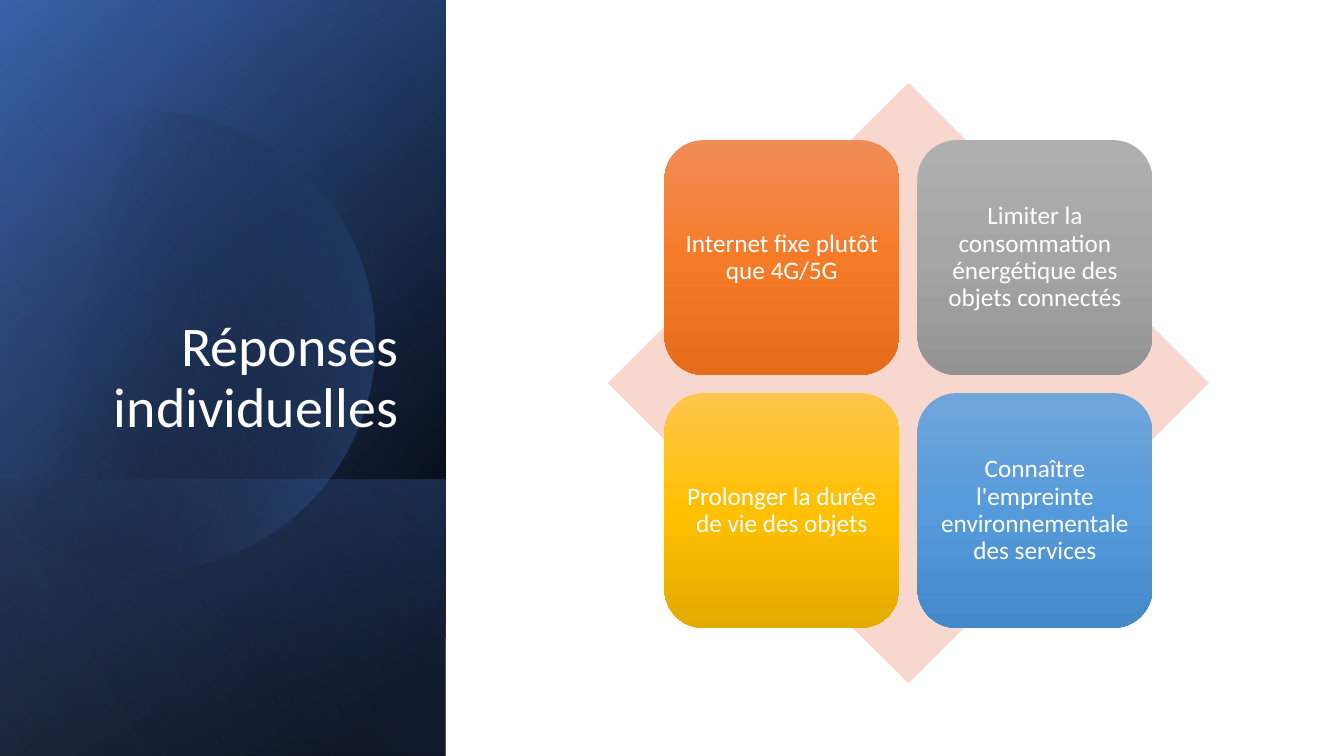
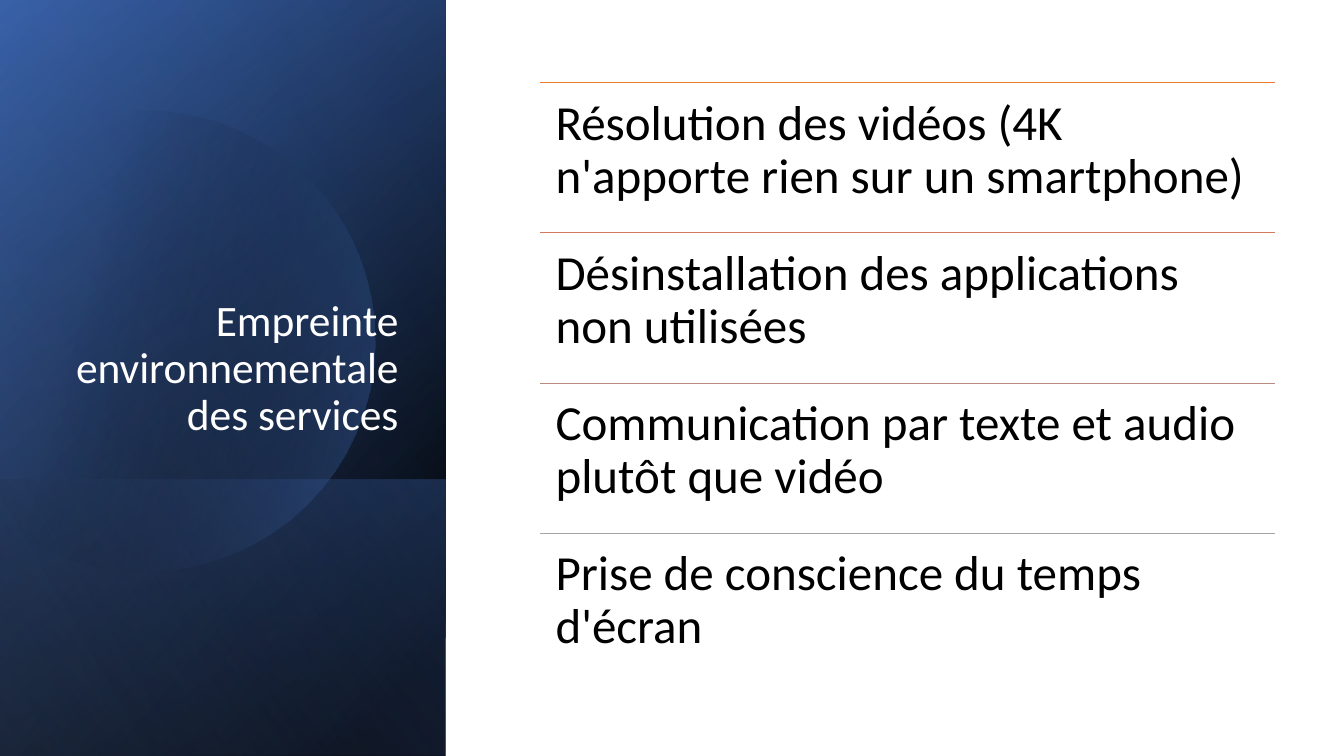
from lxml import etree
from pptx import Presentation
from pptx import util as u
from pptx.dml.color import RGBColor
from pptx.enum import shapes, text
from pptx.oxml.ns import qn

FONT = "Calibri"
COLORS = {
    "white": "FFFFFF", "black": "000000", "navy": "2F5597",
    "blue": "4472C4", "pale_blue": "8FAADC", "diamond": "F8D7CE",
}
PANEL_WIDTH, SLIDE_HEIGHT = 4.42, 7.5

# Gradient stops: position in %, colour, opacity in %
ORANGE = [(0, "F18C57", 100), (50, "F67B28", 100), (100, "E56C19", 100)]
GREY = [(0, "AFAFAF", 100), (50, "A5A5A5", 100), (100, "939393", 100)]
YELLOW = [(0, "FFC64B", 100), (50, "FFC000", 100), (100, "E3AB00", 100)]
SKY = [(0, "71A6DB", 100), (50, "559BDB", 100), (100, "448ACA", 100)]

ANSWERS = [
    ("Internet fixe plutôt que 4G/5G", ORANGE),
    ("Limiter la consommation énergétique des objets connectés", GREY),
    ("Prolonger la durée de vie des objets", YELLOW),
    ("Connaître l'empreinte environnementale des services", SKY),
]
ADVICE = [
    ("Résolution des vidéos (4K n'apporte rien sur un smartphone)", "ED7D31"),
    ("Désinstallation des applications non utilisées", "D17B5C"),
    ("Communication par texte et audio plutôt que vidéo", "B98A82"),
    ("Prise de conscience du temps d'écran", "A5A5A5"),
]

# Halo outline: start, then Bézier curves (three points) and lines (one point)
HALO_START = (1.49, 1.1)
HALO_SEGMENTS = [
    [(2.46, 1.12), (3.35, 1.77), (3.63, 2.75)],
    [(3.98, 3.97), (3.28, 5.23), (2.07, 5.58)],
    [(1.31, 5.8), (0.53, 5.61), (-0.03, 5.14)],
    [(-0.15, 5.03)],
    [(-0.15, 1.75)],
    [(0, 1.61)],
    [(0.23, 1.42), (0.5, 1.28), (0.8, 1.19)],
    [(1.03, 1.13), (1.26, 1.1), (1.49, 1.1)],
]


def fill_plain(shape, color):
    shape.shadow.inherit = False
    shape.line.fill.background()
    shape.fill.solid()
    shape.fill.fore_color.rgb = RGBColor.from_string(color)


def fill_gradient(shape, stops, angle):
    fill_plain(shape, stops[0][1])
    gradient = etree.Element(qn("a:gradFill"), rotWithShape="1")
    stop_list = etree.SubElement(gradient, qn("a:gsLst"))
    for position, color, opacity in stops:
        stop = etree.SubElement(stop_list, qn("a:gs"), pos=str(position * 1000))
        rgb = etree.SubElement(stop, qn("a:srgbClr"), val=color)
        if opacity < 100:
            etree.SubElement(rgb, qn("a:alpha"), val=str(opacity * 1000))
    etree.SubElement(gradient, qn("a:lin"), ang=str(angle * 60000), scaled="0")
    properties = shape._element.spPr
    properties.replace(properties.find(qn("a:solidFill")), gradient)


def write_text(shape, words, size, color, align, anchor, inset):
    frame = shape.text_frame
    frame.word_wrap = True
    frame.vertical_anchor = anchor
    frame.margin_left = frame.margin_right = u.Inches(inset)
    frame.margin_top = frame.margin_bottom = u.Inches(inset)
    paragraph = frame.paragraphs[0]
    paragraph.text = words
    paragraph.alignment = align
    paragraph.line_spacing = 0.9
    paragraph.font.name = FONT
    paragraph.font.size = u.Pt(size)
    paragraph.font.color.rgb = RGBColor.from_string(color)


def add_preset(slide, kind, left, top, width, height):
    return slide.shapes.add_shape(
        kind, u.Inches(left), u.Inches(top), u.Inches(width), u.Inches(height))


def add_text(slide, left, top, width, height, *style):
    box = slide.shapes.add_textbox(
        u.Inches(left), u.Inches(top), u.Inches(width), u.Inches(height))
    write_text(box, *style)


def add_panel_layer(slide, top, stops, angle):
    """Gradient layer from top to the slide's foot, turned and mirrored."""
    height = SLIDE_HEIGHT - top
    shift = (PANEL_WIDTH - height) / 2
    layer = add_preset(slide, shapes.MSO_SHAPE.RECTANGLE,
                       shift, top - shift, height, PANEL_WIDTH)
    layer.rotation = 90
    layer._element.spPr.find(qn("a:xfrm")).set("flipH", "1")
    fill_gradient(layer, stops, angle)


def curve_points(start, first, second, end, steps=16):
    for step in range(1, steps + 1):
        t = step / steps
        weights = ((1 - t) ** 3, 3 * t * (1 - t) ** 2, 3 * t * t * (1 - t), t ** 3)
        yield tuple(sum(w * point[axis] for w, point in
                        zip(weights, (start, first, second, end)))
                    for axis in (0, 1))


def add_halo(slide):
    points = [HALO_START]
    for segment in HALO_SEGMENTS:
        points += curve_points(points[-1], *segment) if len(segment) == 3 else segment
    corners = [(u.Inches(x), u.Inches(y)) for x, y in points]
    builder = slide.shapes.build_freeform(*corners[0])
    builder.add_line_segments(corners[1:], close=True)
    fill_gradient(builder.convert_to_shape(),
                  [(29, COLORS["black"], 0), (100, COLORS["blue"], 43)], 14)


def add_titled_slide(deck, title, size):
    slide = deck.slides.add_slide(deck.slide_layouts[6])
    black, blue = COLORS["black"], COLORS["blue"]
    # Side panel
    add_panel_layer(slide, 0, [(8, black, 100), (100, COLORS["navy"], 100)], 50)
    add_panel_layer(slide, 0, [(0, black, 0), (99, blue, 46)], 30)
    add_panel_layer(slide, 4.76, [(2, blue, 29), (100, black, 30)], 130)
    add_halo(slide)
    add_panel_layer(slide, 0, [(0, black, 0), (99, COLORS["pale_blue"], 11)], 120)
    # Title
    add_text(slide, 0.64, 1.84, 3.41, 2.62, title, size, COLORS["white"],
             text.PP_ALIGN.RIGHT, text.MSO_ANCHOR.BOTTOM, 0.1)
    return slide


def add_answer_matrix(slide):
    left, top, side, pitch = 6.59, 1.39, 2.33, 2.51
    diamond = add_preset(slide, shapes.MSO_SHAPE.DIAMOND, 6.03, 0.82, 5.96, 5.96)
    fill_plain(diamond, COLORS["diamond"])
    for index, (answer, stops) in enumerate(ANSWERS):
        row, column = divmod(index, 2)
        tile = add_preset(slide, shapes.MSO_SHAPE.ROUNDED_RECTANGLE,
                          left + column * pitch, top + row * pitch, side, side)
        fill_gradient(tile, stops, 90)
        write_text(tile, answer, 18, COLORS["white"],
                   text.PP_ALIGN.CENTER, text.MSO_ANCHOR.MIDDLE, 0.07)


def add_rule(slide, left, top, width, color):
    rule = slide.shapes.add_connector(
        shapes.MSO_CONNECTOR.STRAIGHT, u.Inches(left), u.Inches(top),
        u.Inches(left + width), u.Inches(top))
    rule.line.color.rgb = RGBColor.from_string(color)
    rule.line.width = u.Pt(0.5)
    etree.SubElement(rule._element.spPr, qn("a:effectLst"))


def add_advice_list(slide):
    left, top, width, height = 5.36, 0.82, 7.29, 1.49
    for index, (advice, color) in enumerate(ADVICE):
        row_top = top + index * height
        add_rule(slide, left, row_top, width, color)
        add_text(slide, left, row_top, width, height, advice, 35, COLORS["black"],
                 text.PP_ALIGN.LEFT, text.MSO_ANCHOR.TOP, 0.15)


def main():
    deck = Presentation()
    deck.slide_width, deck.slide_height = u.Inches(13.33), u.Inches(SLIDE_HEIGHT)
    add_answer_matrix(add_titled_slide(deck, "Réponses individuelles", 40))
    add_advice_list(add_titled_slide(
        deck, "Empreinte environnementale des services", 31))
    deck.save("out.pptx")


if __name__ == "__main__":
    main()
